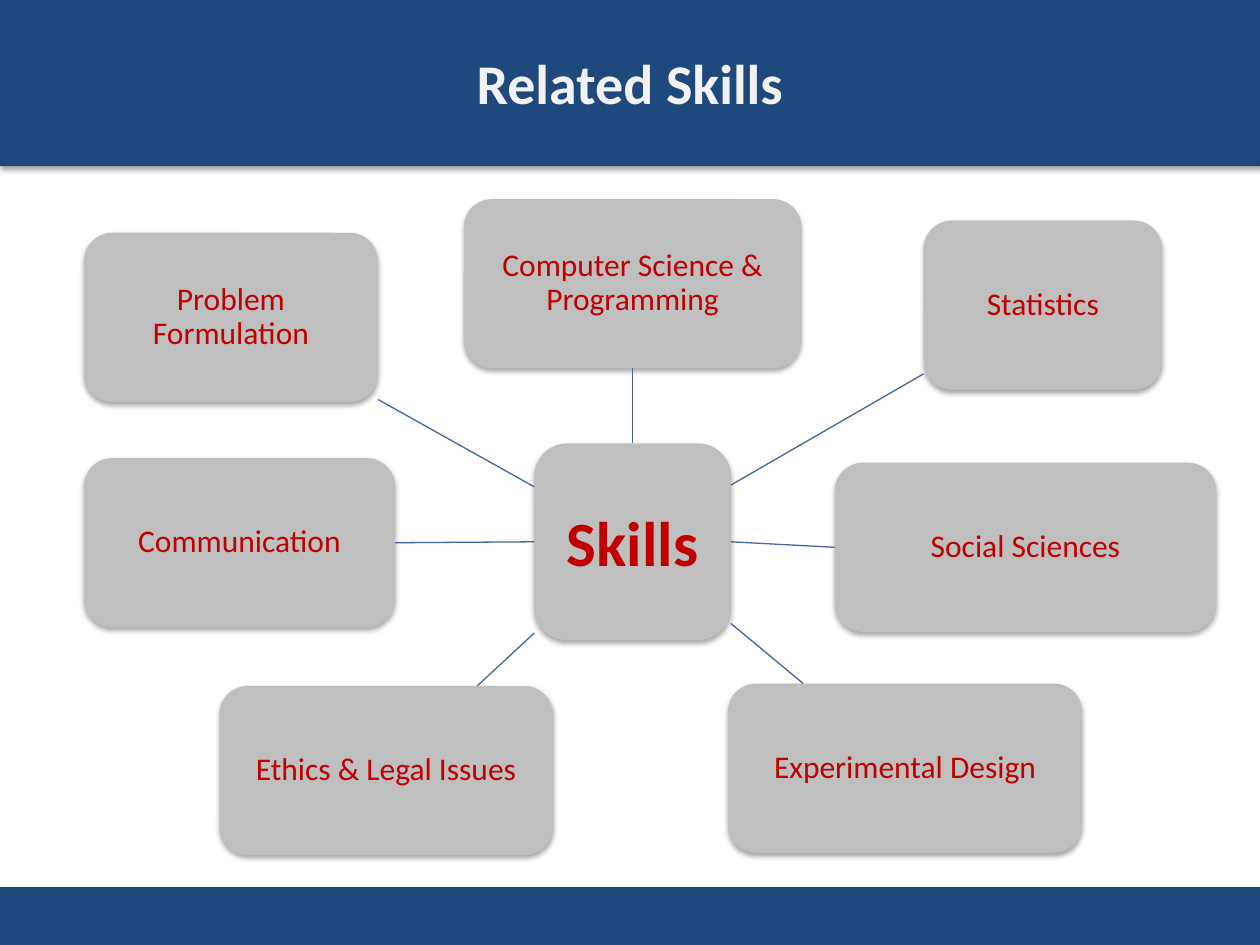
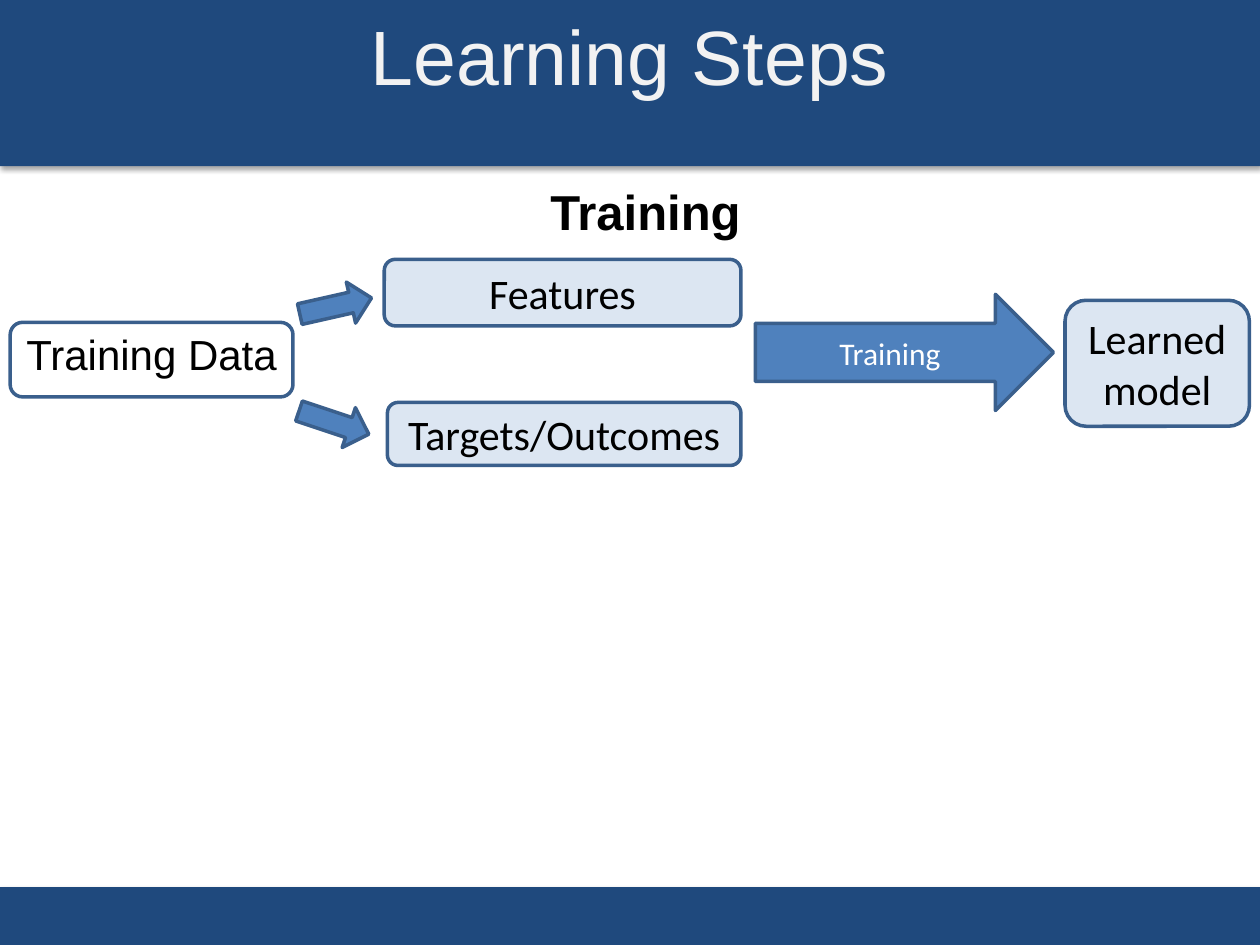
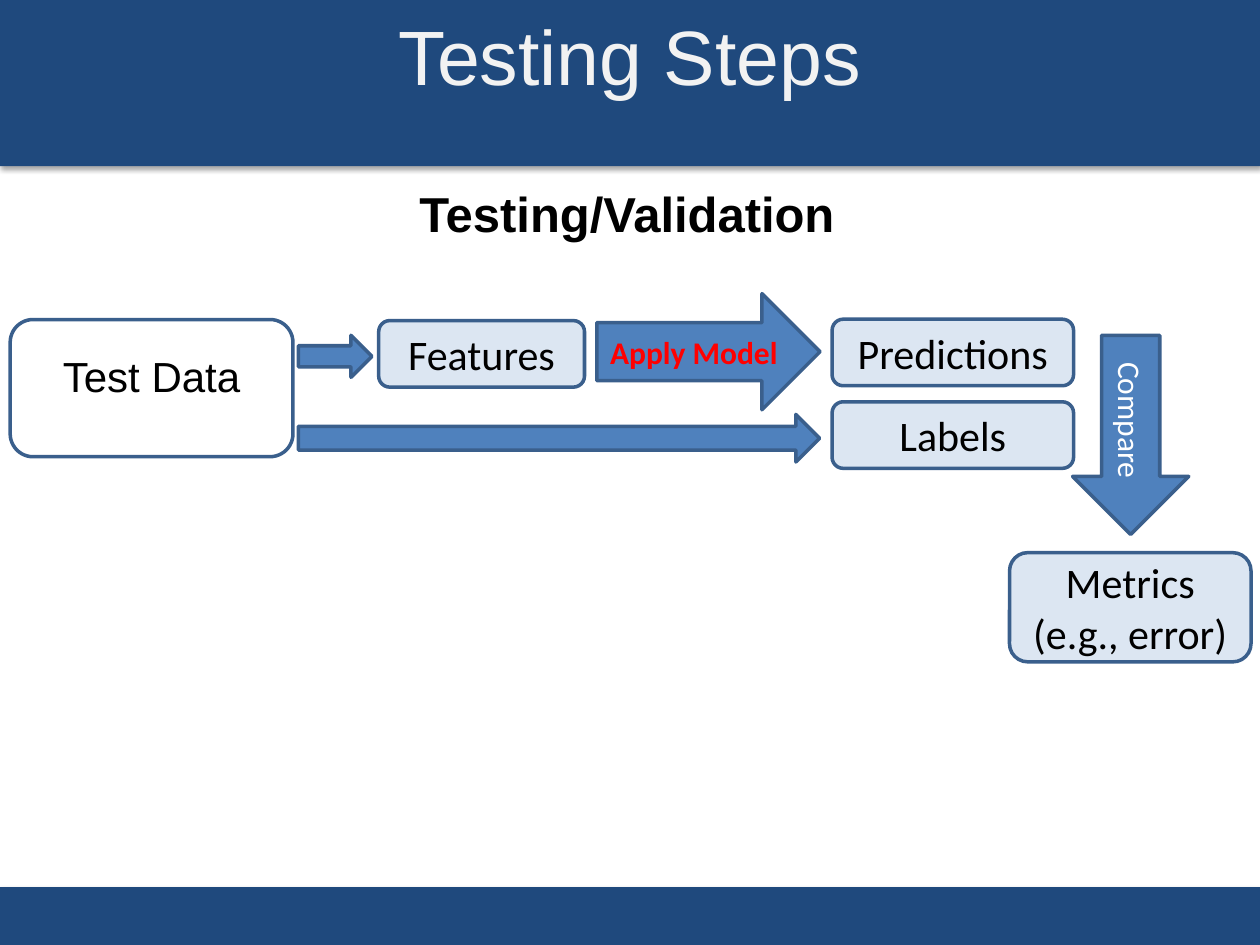
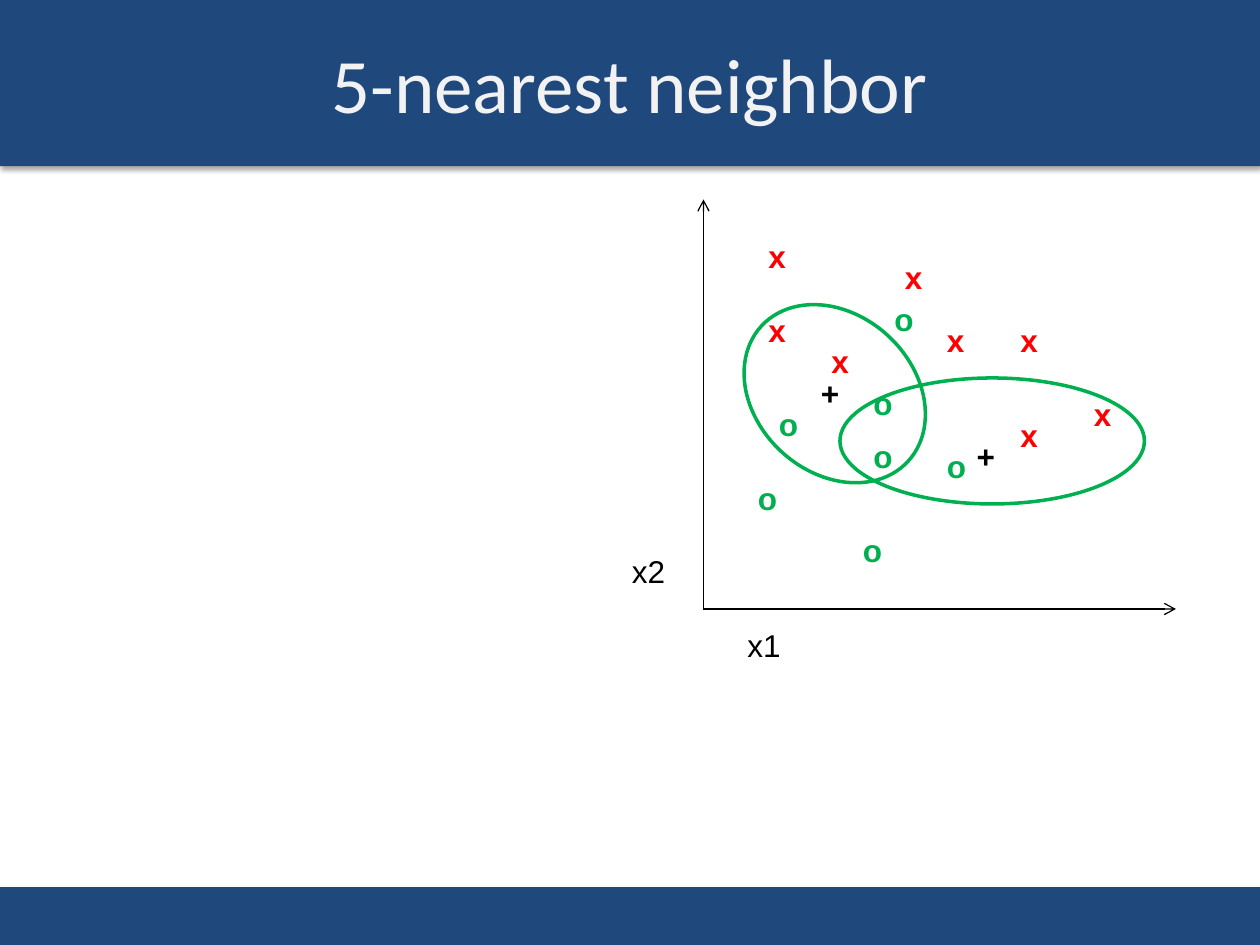
"""Build four slides on data science skills, learning and testing steps, and nearest neighbors."""
from lxml import etree
from pptx import Presentation
from pptx.dml.color import RGBColor
from pptx.enum.shapes import MSO_CONNECTOR, MSO_SHAPE
from pptx.enum.text import MSO_ANCHOR, MSO_AUTO_SIZE, PP_ALIGN
from pptx.oxml import parse_xml
from pptx.oxml.ns import nsdecls, qn
from pptx.util import Pt

RECTANGLE = MSO_SHAPE.RECTANGLE
ROUNDED = MSO_SHAPE.ROUNDED_RECTANGLE
ARROW = MSO_SHAPE.RIGHT_ARROW
OVAL = MSO_SHAPE.OVAL
STRAIGHT = MSO_CONNECTOR.STRAIGHT
LEFT, CENTER = PP_ALIGN.LEFT, PP_ALIGN.CENTER
MIDDLE = MSO_ANCHOR.MIDDLE
TOP_SIDE, LEFT_SIDE, BOTTOM_SIDE, RIGHT_SIDE = range(4)


class Theme:
    """Colours, fonts and type sizes of the deck."""
    navy = RGBColor.from_string("1F497D")
    title_text = RGBColor.from_string("F2F2F2")
    gray = RGBColor.from_string("BFBFBF")
    dark_red = RGBColor.from_string("C00000")
    spoke = RGBColor.from_string("3F6797")
    pale_blue = RGBColor.from_string("DCE6F2")
    blue = RGBColor.from_string("4F81BD")
    outline = RGBColor.from_string("3A5F8C")
    red = RGBColor.from_string("FF0000")
    green = RGBColor.from_string("00B050")
    black = RGBColor.from_string("000000")
    white = RGBColor.from_string("FFFFFF")
    sans, body = "Arial", "Calibri"
    title, short_title, hub, heading, step, label = 44, 32, 36, 28, 24, 18
    thin, thick = 0.75, 2


SHADOW = (
    f'<a:effectLst {nsdecls("a")}><a:outerShdw blurRad="{Pt(3.1)}" dist="{Pt(1.8)}" dir="5400000" '
    'rotWithShape="0"><a:srgbClr val="000000"><a:alpha val="35000"/></a:srgbClr>'
    '</a:outerShdw></a:effectLst>'
)


def write(frame, text, font, size, color, bold=False, align=CENTER):
    """Write lines of text into the first paragraph of a frame and return the paragraph."""
    para = frame.paragraphs[0]
    para.alignment = align
    for number, line in enumerate(text.split("\n")):
        if number:
            para.add_line_break()
        span = para.add_run()
        span.text = line
        span.font.name, span.font.size, span.font.bold = font, Pt(size), bold
        span.font.color.rgb = color
    return para


def draw(page, kind, area, fill=None, line=None, turn=0, shadow=False):
    """Draw a preset shape, or a one-line text box when kind is None."""
    place = [Pt(length) for length in area]
    if kind is None:
        box = page.shapes.add_textbox(*place)
        box.text_frame.word_wrap = False
        box.text_frame.auto_size = MSO_AUTO_SIZE.SHAPE_TO_FIT_TEXT
        return box
    box = page.shapes.add_shape(kind, *place)
    box.rotation = turn
    if shadow:
        box.element.spPr.append(parse_xml(SHADOW))
    else:
        box.shadow.inherit = False
    if fill is None:
        box.fill.background()
    else:
        box.fill.solid()
        box.fill.fore_color.rgb = fill
    if line is None:
        box.line.fill.background()
    else:
        box.line.color.rgb = line
        box.line.width = Pt(Theme.thick)
    box.text_frame.vertical_anchor = MIDDLE
    return box


deck = Presentation()
deck.slide_width, deck.slide_height = Pt(720), Pt(540)
layout = deck.slide_layouts[5]
full_title, raised_title = (0, 2, 720, 90), (36, 0, 648, 62.6)

pages = []
for text, font, size, bold, area in [
    ("Related Skills", Theme.body, Theme.short_title, True, full_title),
    ("Learning Steps", Theme.sans, Theme.title, False, raised_title),
    ("Testing Steps", Theme.sans, Theme.title, False, raised_title),
    ("5-nearest neighbor", Theme.body, Theme.title, False, full_title),
]:
    page = deck.slides.add_slide(layout)
    title = page.shapes.title
    title.left, title.top, title.width, title.height = [Pt(length) for length in area]
    title.text_frame.auto_size = MSO_AUTO_SIZE.NONE
    title.text_frame.vertical_anchor = MIDDLE
    write(title.text_frame, text, font, size, Theme.title_text, bold)
    pages.append(page)
skills_page, learning_page, testing_page, neighbor_page = pages

master_tree = deck.slide_master.shapes.element
for area in [(0, 0, 720, 95), (0, 507, 720, 33)]:
    band = draw(skills_page, RECTANGLE, area, Theme.navy, shadow=True)
    master_tree.insert(2, band.element)

hub_left, hub_top, hub_size = 305.3, 253.4, 112.4
hub_x, hub_y = hub_left + hub_size / 2, hub_top + hub_size / 2
hub = draw(skills_page, ROUNDED, (hub_left, hub_top, hub_size, hub_size), Theme.gray, shadow=True)
write(hub.text_frame, "Skills", Theme.body, Theme.hub, Theme.dark_red, True)
skill_height = 96.7
for text, left, top, width, sides in [
    ("Computer Science & Programming", 265, 113.8, 193, (TOP_SIDE, BOTTOM_SIDE)),
    ("Statistics", 527.8, 126, 136.2, None),
    ("Social Sciences", 477, 264.4, 218, (RIGHT_SIDE, LEFT_SIDE)),
    ("Experimental Design", 416, 390.6, 202.4, None),
    ("Ethics & Legal Issues", 125.4, 392, 190.4, None),
    ("Communication", 48, 261.8, 177.8, (LEFT_SIDE, RIGHT_SIDE)),
    ("Problem Formulation", 48, 133, 168, None),
]:
    skill = draw(skills_page, ROUNDED, (left, top, width, skill_height), Theme.gray, shadow=True)
    para = write(skill.text_frame, text, Theme.body, Theme.label, Theme.dark_red)
    para.line_spacing = 0.9
    skill_x, skill_y = left + width / 2, top + skill_height / 2
    run, rise = skill_x - hub_x, skill_y - hub_y
    reach = max(abs(run), abs(rise))
    from_hub = hub_size / 2 / reach
    from_skill = 1 / max(abs(run) / (width / 2), abs(rise) / (skill_height / 2))
    spoke = skills_page.shapes.add_connector(
        STRAIGHT,
        Pt(hub_x + run * from_hub), Pt(hub_y + rise * from_hub),
        Pt(skill_x - run * from_skill), Pt(skill_y - rise * from_skill),
    )
    if sides:
        spoke.begin_connect(hub, sides[0])
        spoke.end_connect(skill, sides[1])
    spoke.line.color.rgb = Theme.spoke
    spoke.line.width = Pt(Theme.thin)
    etree.SubElement(spoke.element.spPr, qn("a:effectLst"))

for page, text, area in [
    (learning_page, "Training", (307.4, 100, 124.6, 41)),
    (testing_page, "Testing/Validation", (232.6, 101.5, 254.8, 41)),
]:
    heading = draw(page, None, area)
    write(heading.text_frame, text, Theme.sans, Theme.heading, Theme.black, True, LEFT)

for page, text, area, lift in [
    (learning_page, "Training Data", (5.8, 184.2, 161.6, 42.6), 7),
    (testing_page, "Test Data", (5.8, 182.6, 161.6, 78.4), 14),
]:
    source = draw(page, ROUNDED, area, line=Theme.outline)
    frame = source.text_frame
    frame.margin_left = frame.margin_right = frame.margin_top = 0
    frame.margin_bottom = Pt(lift)
    write(frame, text, Theme.sans, Theme.step, Theme.black)

for page, text, area in [
    (learning_page, "Features", (219.6, 148.2, 203.8, 38)),
    (learning_page, "Targets/Outcomes", (221.4, 230, 202, 36)),
    (learning_page, "Learned model", (608.6, 171.6, 105.4, 72)),
    (testing_page, "Features", (216.4, 183.2, 117.6, 38)),
    (testing_page, "Predictions", (475.5, 182.4, 138, 38)),
    (testing_page, "Labels", (475.5, 229.6, 138, 38)),
    (testing_page, "Metrics\n(e.g., error)", (576.9, 315.8, 138, 62.4)),
]:
    step = draw(page, ROUNDED, area, Theme.pale_blue, Theme.outline)
    write(step.text_frame, text, Theme.body, Theme.step, Theme.black)

for page, text, area, turn, color in [
    (learning_page, "", (170.8, 147.3 + 15.6, 42, 24), 347.3, None),
    (learning_page, "", (169.8, 229.5, 42, 24), 18.4, None),
    (learning_page, "Training", (431.6, 168.2, 170.4, 66.4), 0, Theme.white),
    (testing_page, "", (170.6, 191.6, 42, 24), 0, None),
    (testing_page, "", (170.6, 236.8, 297.8, 27.2), 0, None),
    (testing_page, "Apply Model", (341, 167.8, 127.6, 66.4), 0, Theme.red),
    (testing_page, "Compare", (589.2, 215.3, 113.8, 66.4), 90, Theme.white),
]:
    arrow = draw(page, ARROW, area, Theme.blue, Theme.outline, turn)
    if text:
        write(arrow.text_frame, text, Theme.body, Theme.label, color, color == Theme.red)

for text, width, color, bold, places in [
    ("x", 24.5, Theme.red, True, [
        (534, 180), (576, 180), (576, 234), (618, 222),
        (432, 132), (432, 174), (510, 144), (468, 192)]),
    ("o", 25.8, Theme.green, True, [
        (504, 168), (534, 252), (426, 270), (438, 228),
        (486, 300), (492, 246), (492, 216)]),
    ("+", 25, Theme.black, True, [(462, 210), (551, 246)]),
    ("x2", 33.6, Theme.black, False, [(354, 312)]),
    ("x1", 33.6, Theme.black, False, [(420, 354)]),
]:
    for left, top in places:
        mark = draw(neighbor_page, None, (left, top, width, 29))
        write(mark.text_frame, text, Theme.sans, Theme.label, color, bold, LEFT)

for end_x, end_y in [(402, 114), (672, 348)]:
    axis = neighbor_page.shapes.add_connector(STRAIGHT, Pt(402), Pt(348), Pt(end_x), Pt(end_y))
    axis.line.color.rgb = Theme.black
    axis.line.width = Pt(Theme.thin)
    etree.SubElement(axis.line._get_or_add_ln(), qn("a:tailEnd"), type="arrow")
    etree.SubElement(axis.element.spPr, qn("a:effectLst"))

for area, turn in [((420, 180, 114, 90), 42.8), ((480, 216, 174, 72), 0)]:
    draw(neighbor_page, OVAL, area, line=Theme.green, turn=turn)

deck.save("out.pptx")
